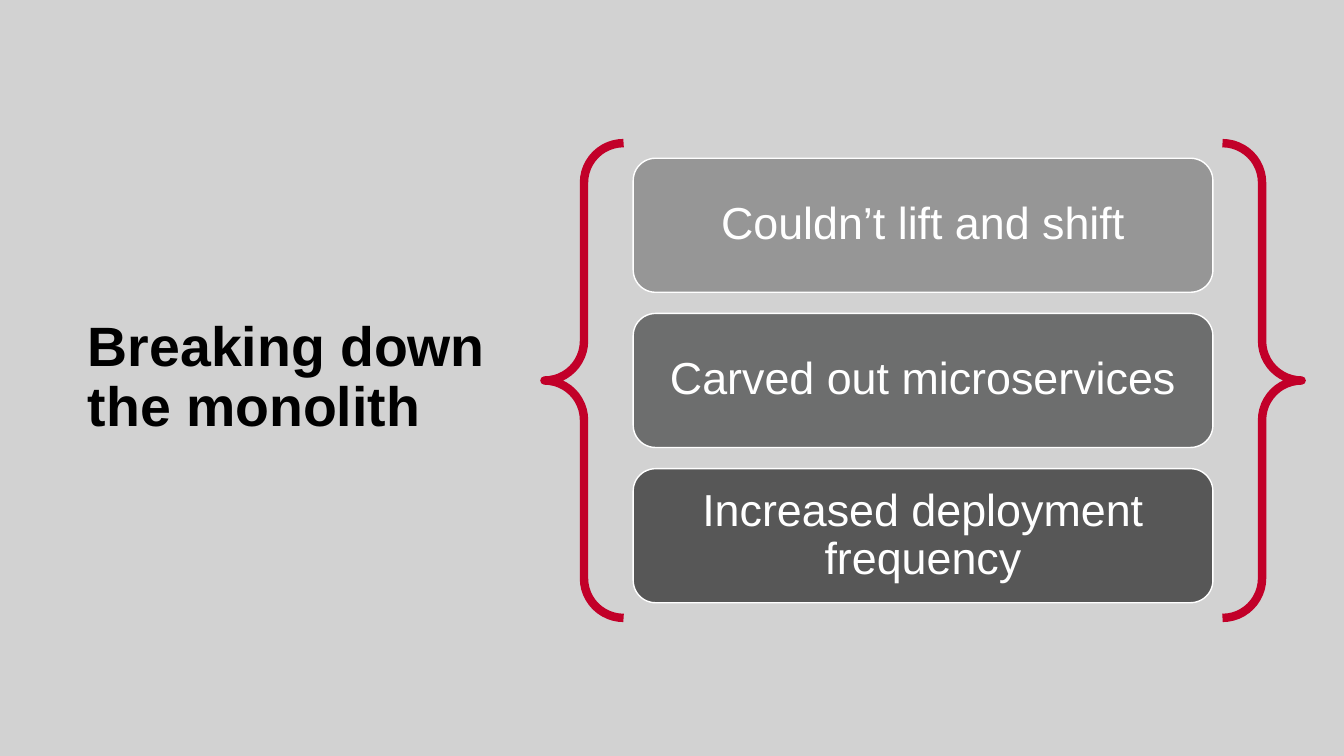
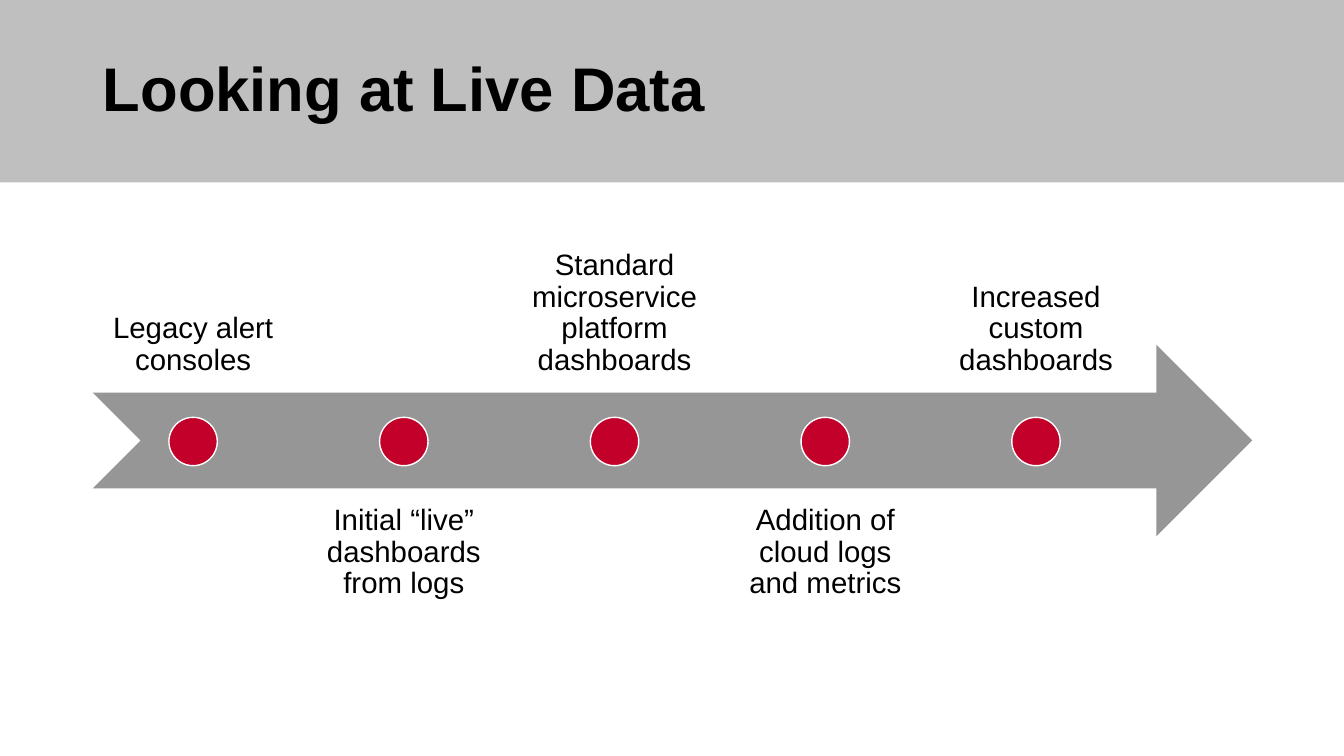
import pptx
import pptx.util
import pptx.dml.color
import pptx.enum.shapes
import pptx.enum.text

Inches = pptx.util.Inches
Pt = pptx.util.Pt
RGBColor = pptx.dml.color.RGBColor
SHAPE = pptx.enum.shapes.MSO_SHAPE
ALIGN = pptx.enum.text.PP_ALIGN
ANCHOR = pptx.enum.text.MSO_ANCHOR

FONT = "Arial"
BLACK = RGBColor(0x00, 0x00, 0x00)
WHITE = RGBColor(0xFF, 0xFF, 0xFF)
RED = RGBColor(0xC2, 0x00, 0x29)
PALE_GRAY = RGBColor(0xD2, 0xD2, 0xD2)
BAND_GRAY = RGBColor(0xBF, 0xBF, 0xBF)
LIGHT_GRAY = RGBColor(0x96, 0x96, 0x96)
MID_GRAY = RGBColor(0x6D, 0x6E, 0x6E)
DARK_GRAY = RGBColor(0x57, 0x57, 0x57)

SLIDE_WIDTH = 13.33
SLIDE_HEIGHT = 7.5


def add_shape(slide, kind, left, top, width, height, fill=None, line=None, line_width=1):
    shape = slide.shapes.add_shape(
        kind, Inches(left), Inches(top), Inches(width), Inches(height))
    shape.shadow.inherit = False
    if fill is None:
        shape.fill.background()
    else:
        shape.fill.solid()
        shape.fill.fore_color.rgb = fill
    if line is None:
        shape.line.fill.background()
    else:
        shape.line.color.rgb = line
        shape.line.width = Pt(line_width)
    return shape


def write_text(shape, text, size, color, anchor, inset, align=ALIGN.CENTER, bold=False):
    frame = shape.text_frame
    frame.word_wrap = True
    frame.auto_size = pptx.enum.text.MSO_AUTO_SIZE.NONE
    frame.vertical_anchor = anchor
    frame.margin_left = frame.margin_right = Inches(inset)
    frame.margin_top = frame.margin_bottom = Inches(inset)
    frame.text = text
    paragraph = frame.paragraphs[0]
    paragraph.alignment = align
    paragraph.line_spacing = 0.9
    paragraph.font.name = FONT
    paragraph.font.size = Pt(size)
    paragraph.font.bold = bold
    paragraph.font.color.rgb = color


presentation = pptx.Presentation()
presentation.slide_width = Inches(SLIDE_WIDTH)
presentation.slide_height = Inches(SLIDE_HEIGHT)

slides = []
for text, size, left, top, width, band_height, band_color in [
    ("Breaking down the monolith", 39.6, 0.77, 3.03, 4.44, SLIDE_HEIGHT, PALE_GRAY),
    ("Looking at Live Data", 44, 0.92, 0.18, 11.5, 1.81, BAND_GRAY),
]:
    slide = presentation.slides.add_slide(presentation.slide_layouts[5])
    band = add_shape(slide, SHAPE.RECTANGLE, 0, 0, SLIDE_WIDTH, band_height, band_color)
    title = slide.shapes.title
    title._element.addprevious(band._element)
    title.left, title.top = Inches(left), Inches(top)
    title.width, title.height = Inches(width), Inches(1.45)
    write_text(title, text, size, BLACK, ANCHOR.MIDDLE, 0.1, ALIGN.LEFT, True)
    slides.append(slide)

monolith_slide, live_data_slide = slides

steps = [
    ("Couldn’t lift and shift", LIGHT_GRAY),
    ("Carved out microservices", MID_GRAY),
    ("Increased deployment frequency", DARK_GRAY),
]
for index, (text, color) in enumerate(steps):
    box = add_shape(monolith_slide, SHAPE.ROUNDED_RECTANGLE,
                    6.28, 1.57 + index * 1.54, 5.75, 1.33, color, WHITE)
    write_text(box, text, 32, WHITE, ANCHOR.MIDDLE, 0.13)
add_shape(monolith_slide, SHAPE.DOUBLE_BRACE, 5.4, 1.42, 7.51, 4.71, line=RED, line_width=6)

add_shape(live_data_slide, SHAPE.NOTCHED_RIGHT_ARROW, 0.92, 3.42, 11.5, 1.9, LIGHT_GRAY)
milestones = [
    "Legacy alert consoles",
    "Initial “live” dashboards from logs",
    "Standard microservice platform dashboards",
    "Addition of cloud logs and metrics",
    "Increased custom dashboards",
]
label_width = 1.99
dot_size = 0.48
for index, text in enumerate(milestones):
    left = 0.92 + index * 2.09
    above = index % 2 == 0
    label = live_data_slide.shapes.add_textbox(
        Inches(left), Inches(2 if above else 4.85), Inches(label_width), Inches(1.9))
    write_text(label, text, 21, BLACK, ANCHOR.BOTTOM if above else ANCHOR.TOP, 0.16)
    add_shape(live_data_slide, SHAPE.OVAL, left + (label_width - dot_size) / 2, 4.14,
              dot_size, dot_size, RED, WHITE)

presentation.save("out.pptx")
